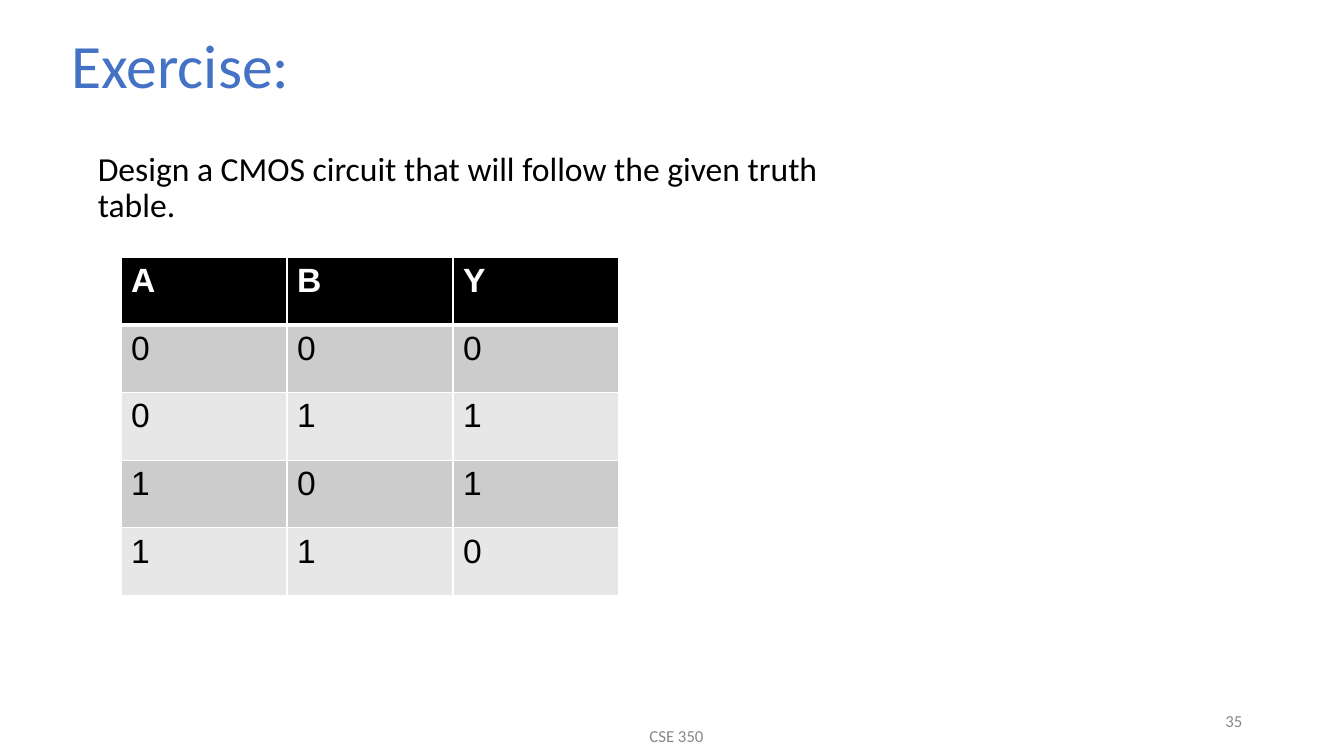
import pptx
import pptx.dml.color
import pptx.enum.text
import pptx.oxml
import pptx.oxml.ns
import pptx.util

PX = 9144
ALIGN = pptx.enum.text.PP_ALIGN
ANCHOR = pptx.enum.text.MSO_ANCHOR
TRUTH_TABLE = ["ABY", "000", "011", "101", "110"]


def px(length):
    """Turn a length in px into EMU."""
    return pptx.util.Emu(length * PX)


def colour(hex_code):
    """Turn a hex string into a colour."""
    return pptx.dml.color.RGBColor.from_string(hex_code)


def place(shape, box):
    """Move a shape to a box of left, top, width and height."""
    shape.left, shape.top, shape.width, shape.height = map(px, box)


def add_run(paragraph, text, size, hex_code, font="Calibri", bold=False):
    """Add one formatted run to a paragraph."""
    run = paragraph.add_run()
    run.text = text
    run.font.size = pptx.util.Pt(size)
    run.font.name = font
    run.font.bold = bold
    run.font.color.rgb = colour(hex_code)


def set_frame(shape, anchor):
    """Prepare a text frame and return its first paragraph."""
    frame = shape.text_frame
    frame.word_wrap = True
    frame.auto_size = pptx.enum.text.MSO_AUTO_SIZE.NONE
    frame.vertical_anchor = anchor
    return frame.paragraphs[0]


def fill_title(title, box):
    """Write the heading into the title placeholder."""
    place(title, box)
    heading = set_frame(title, ANCHOR.MIDDLE)
    heading.alignment = ALIGN.LEFT
    heading.line_spacing = 0.9
    add_run(heading, "Exercise:", 44, "4472C4")


def fill_task(body, box):
    """Write the task into the body placeholder."""
    place(body, box)
    task = set_frame(body, ANCHOR.TOP)
    properties = task._p.get_or_add_pPr()
    properties.set("marL", str(px(12)))
    properties.set("indent", "0")
    properties.append(pptx.oxml.parse_xml(f'<a:buNone {pptx.oxml.ns.nsdecls("a")}/>'))
    task.line_spacing = 0.9
    task.space_before = pptx.util.Pt(0)
    add_run(task, "Design a CMOS circuit that will follow the given truth table.", 24, "000000")


def add_border(cell, side, points):
    """Draw a white border on one side of a cell."""
    cell._tc.get_or_add_tcPr().append(pptx.oxml.parse_xml(
        f'<a:ln{side} {pptx.oxml.ns.nsdecls("a")} w="{pptx.util.Pt(points)}">'
        f'<a:solidFill><a:srgbClr val="FFFFFF"/></a:solidFill></a:ln{side}>'))


def add_truth_table(slide, box):
    """Add the truth table with a black header and banded rows."""
    left, top, width, height = map(px, box)
    rows, columns = len(TRUTH_TABLE), len(TRUTH_TABLE[0])
    table = slide.shapes.add_table(rows, columns, left, top, width, height).table
    for row, values in enumerate(TRUTH_TABLE):
        is_header = row == 0
        band = "000000" if is_header else ("E7E7E7", "CCCCCC")[row % 2]
        for column, value in enumerate(values):
            cell = table.cell(row, column)
            add_border(cell, "L", 1)
            add_border(cell, "R", 1)
            add_border(cell, "T", 3 if row == 1 else 1)
            add_border(cell, "B", 3 if is_header else 1)
            cell.fill.solid()
            cell.fill.fore_color.rgb = colour(band)
            add_run(cell.text_frame.paragraphs[0], value, 24,
                    "FFFFFF" if is_header else "000000", "Arial", is_header)


def add_footer(slide, box, text, alignment):
    """Add a small grey footer text."""
    footer = set_frame(slide.shapes.add_textbox(*map(px, box)), ANCHOR.MIDDLE)
    footer.alignment = alignment
    add_run(footer, text, 12, "888888")


def main():
    """Build the exercise slide and save it."""
    presentation = pptx.Presentation()
    presentation.slide_width, presentation.slide_height = px(1333), px(750)
    slide = presentation.slides.add_slide(presentation.slide_layouts[1])
    fill_title(slide.shapes.title, (61, 30, 1150, 76))
    add_footer(slide, (446, 710, 450, 40), "CSE 350", ALIGN.CENTER)
    add_footer(slide, (942, 695, 300, 40), "35", ALIGN.RIGHT)
    fill_task(slide.placeholders[1], (75, 146, 768, 503))
    add_truth_table(slide, (120, 255, 494, 336))
    presentation.save("out.pptx")


if __name__ == "__main__":
    main()
